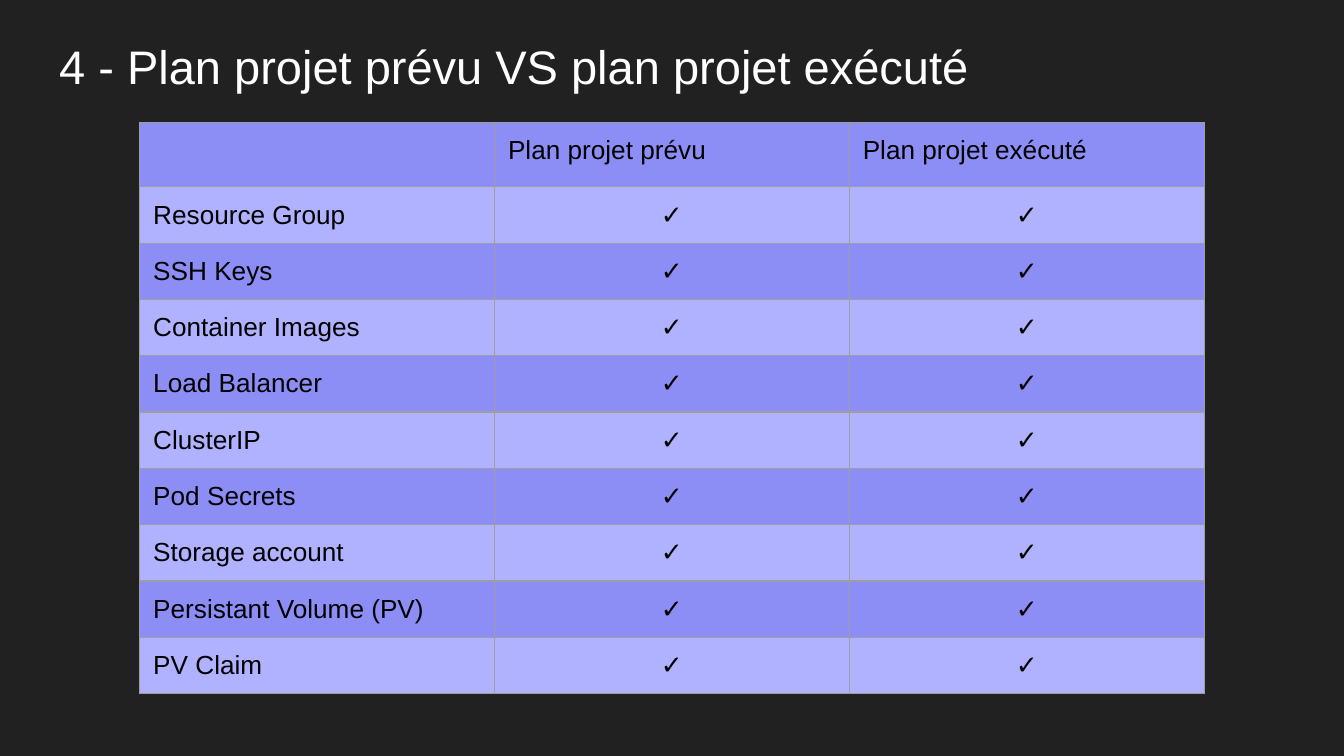
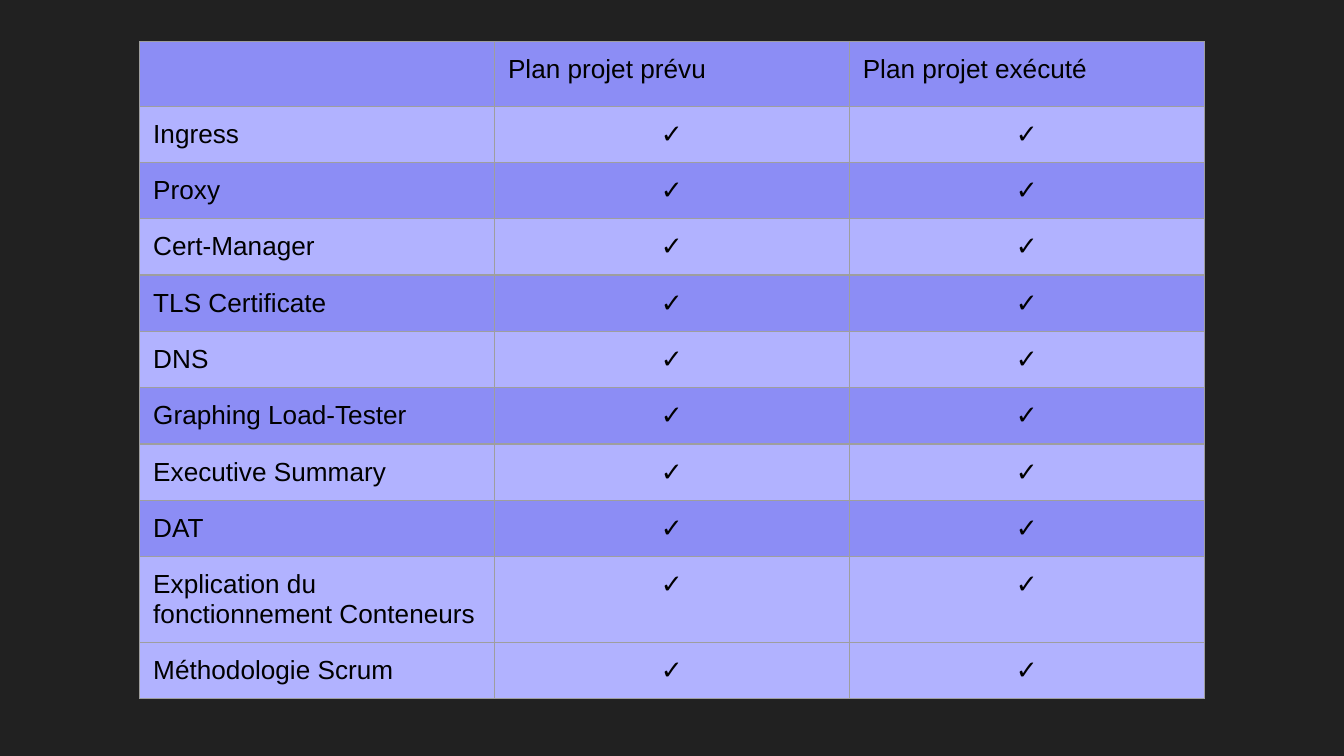
from lxml import etree
from pptx import Presentation
from pptx.dml.color import RGBColor
from pptx.enum.text import MSO_ANCHOR, MSO_AUTO_SIZE, PP_ALIGN
from pptx.oxml.ns import qn
from pptx.util import Inches, Pt

LEFT, CENTER = PP_ALIGN.LEFT, PP_ALIGN.CENTER
BOTTOM, NO_AUTOFIT = MSO_ANCHOR.BOTTOM, MSO_AUTO_SIZE.NONE

COLORS = {
    "background": "212121",
    "title": "FFFFFF",
    "text": "000000",
    "dark_band": "8C8DF5",
    "light_band": "B1B2FF",
    "border": "9E9E9E",
}
FONT = "Arial"
TITLE_ONLY_LAYOUT, BLANK_LAYOUT = 5, 6

SLIDE_WIDTH = 10
SLIDE_HEIGHT = SLIDE_WIDTH * 9 / 16
TABLE_LEFT = 1.04
COLUMN_WIDTH = 2.64
ROW_HEIGHT = 5 / 12
MARGINS = {f"margin_{side}": Inches(0.1) for side in ("left", "right", "top", "bottom")}
BORDER_WIDTH = Pt(0.75)

TITLE = "4 - Plan projet prévu VS plan projet exécuté"
HEADERS = ["", "Plan projet prévu", "Plan projet exécuté"]
CHECK = "✓"
INFRASTRUCTURE_ITEMS = [
    "Resource Group", "SSH Keys", "Container Images", "Load Balancer", "ClusterIP",
    "Pod Secrets", "Storage account", "Persistant Volume (PV)", "PV Claim",
]
DELIVERY_ITEMS = [
    "Ingress", "Proxy", "Cert-Manager", "TLS Certificate", "DNS",
    "Graphing Load-Tester", "Executive Summary", "DAT",
    "Explication du fonctionnement Conteneurs", "Méthodologie Scrum",
]


def set_attributes(target, values):
    for name, value in values.items():
        setattr(target, name, value)


def rgb(name):
    return RGBColor.from_string(COLORS[name])


def add_slide(deck, layout):
    slide = deck.slides.add_slide(deck.slide_layouts[layout])
    fill = slide.background.fill
    fill.solid()
    fill.fore_color.rgb = rgb("background")
    return slide


def write(paragraph, text, size, color, alignment=LEFT):
    paragraph.alignment = alignment
    span = paragraph.add_run()
    span.text = text
    set_attributes(span.font, {"name": FONT, "size": Pt(size)})
    span.font.color.rgb = rgb(color)


def set_title(slide, text):
    box = slide.shapes.title
    set_attributes(box, {"left": Inches(0.34), "top": Inches(0.17),
                         "width": Inches(9.32), "height": Inches(0.63)})
    frame = box.text_frame
    set_attributes(frame, {**MARGINS, "word_wrap": True,
                           "auto_size": NO_AUTOFIT, "vertical_anchor": BOTTOM})
    write(frame.paragraphs[0], text, 25.2, "title")


def add_borders(cell):
    properties = cell._tc.get_or_add_tcPr()
    for edge in ("lnL", "lnR", "lnT", "lnB"):
        line = etree.SubElement(properties, qn(f"a:{edge}"), w=str(BORDER_WIDTH))
        fill = etree.SubElement(line, qn("a:solidFill"))
        etree.SubElement(fill, qn("a:srgbClr"), val=COLORS["border"])


def set_empty_font(paragraph, size):
    """Fix the line height of a paragraph that has no text."""
    properties = etree.SubElement(paragraph._p, qn("a:endParaRPr"), sz=str(size * 100))
    etree.SubElement(properties, qn("a:latin"), typeface=FONT)


def format_cell(cell, text, band, alignment):
    set_attributes(cell, MARGINS)
    add_borders(cell)
    cell.fill.solid()
    cell.fill.fore_color.rgb = rgb(band)
    paragraph = cell.text_frame.paragraphs[0]
    if text:
        write(paragraph, text, 14, "text", alignment)
    else:
        set_empty_font(paragraph, 18)


def add_plan_table(slide, top, items):
    """Compare the planned and executed project, one checked row per item."""
    rows = [HEADERS] + [[item, CHECK, CHECK] for item in items]
    table = slide.shapes.add_table(
        len(rows), len(HEADERS), Inches(TABLE_LEFT), Inches(top),
        Inches(COLUMN_WIDTH * len(HEADERS)), Inches(ROW_HEIGHT * len(rows))).table
    for column in table.columns:
        column.width = Inches(COLUMN_WIDTH)
    for row_index, texts in enumerate(rows):
        table.rows[row_index].height = Inches(ROW_HEIGHT)
        is_last = row_index == len(rows) - 1
        band = "light_band" if row_index % 2 or is_last else "dark_band"
        for column_index, text in enumerate(texts):
            alignment = CENTER if text == CHECK else LEFT
            format_cell(table.cell(row_index, column_index), text, band, alignment)


def main():
    deck = Presentation()
    set_attributes(deck, {"slide_width": Inches(SLIDE_WIDTH),
                          "slide_height": Inches(SLIDE_HEIGHT)})

    infrastructure = add_slide(deck, TITLE_ONLY_LAYOUT)
    set_title(infrastructure, TITLE)
    add_plan_table(infrastructure, 0.91, INFRASTRUCTURE_ITEMS)

    delivery = add_slide(deck, BLANK_LAYOUT)
    add_plan_table(delivery, 0.31, DELIVERY_ITEMS)

    deck.save("out.pptx")


if __name__ == "__main__":
    main()
